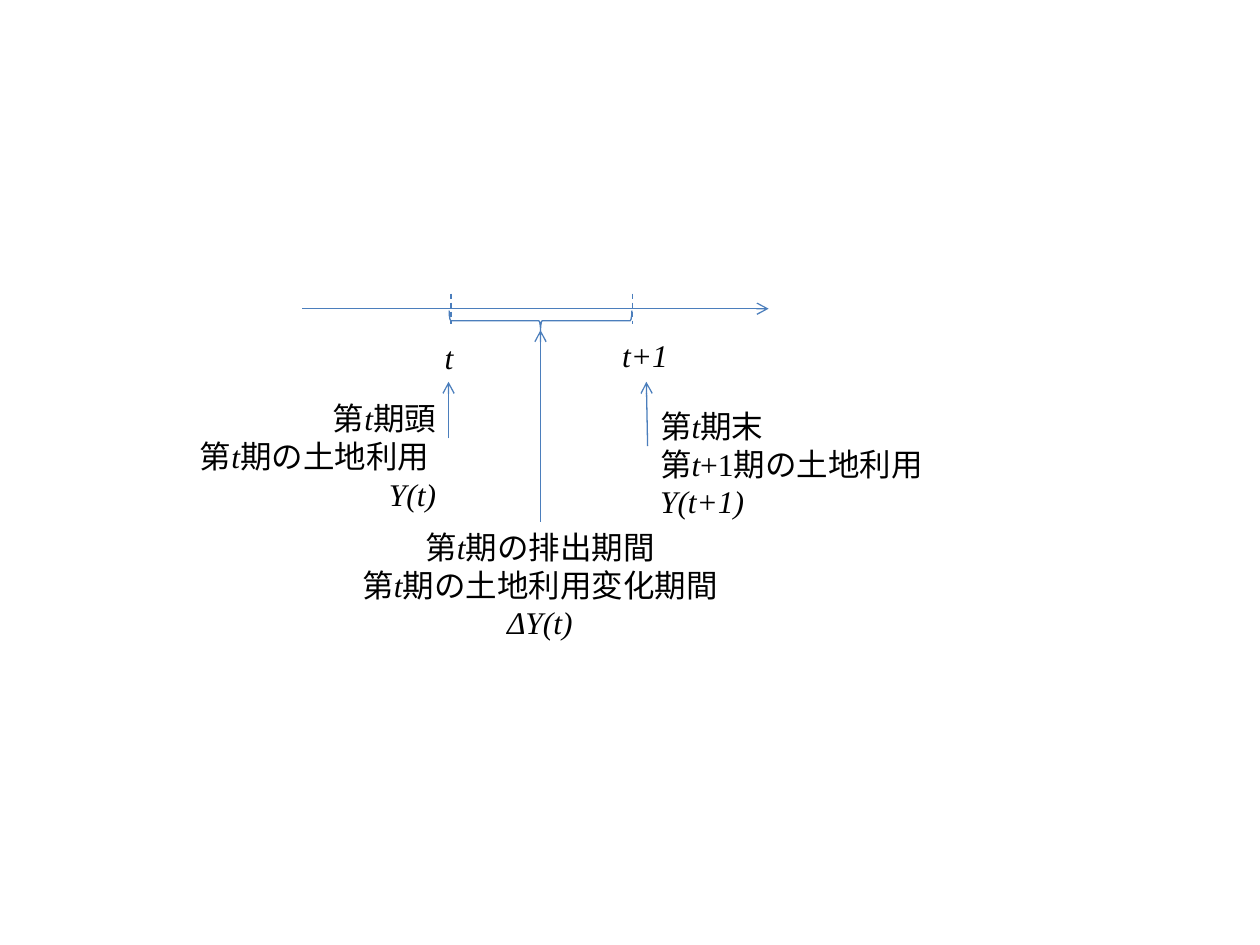
from lxml.etree import SubElement
from pptx import Presentation
from pptx.dml.color import RGBColor
from pptx.enum.dml import MSO_LINE_DASH_STYLE as DASH
from pptx.enum.shapes import MSO_CONNECTOR, MSO_SHAPE
from pptx.enum.text import PP_ALIGN as ALIGN
from pptx.oxml.ns import qn
from pptx.util import Inches, Pt

BLUE = RGBColor(0x4B, 0x7E, 0xBC)
BLACK = RGBColor(0, 0, 0)
BREAK = "\n"


class Timeline:
    """Draws the parts of a period diagram in one style on one slide."""

    font = "Times New Roman"
    size = Pt(18)
    weight = Pt(0.75)

    def __init__(self, slide):
        self.shapes = slide.shapes

    def line(self, start, end, arrow=False, dash=None):
        connector = self.shapes.add_connector(
            MSO_CONNECTOR.STRAIGHT, *map(Inches, start + end))
        connector.line.color.rgb = BLUE
        connector.line.width = self.weight
        if dash:
            connector.line.dash_style = dash
        if arrow:
            SubElement(connector.line._get_or_add_ln(), qn("a:tailEnd"), type="arrow")
        SubElement(connector._element.spPr, qn("a:effectLst"))

    def brace(self, left, top, width, height):
        brace = self.shapes.add_shape(
            MSO_SHAPE.LEFT_BRACE, *map(Inches, (left, top, width, height)))
        brace.rotation = 270
        brace.shadow.inherit = False
        brace.fill.background()
        brace.line.color.rgb = BLUE
        brace.line.width = self.weight

    def text(self, box, paragraphs, align=ALIGN.LEFT, wrap=True):
        frame = self.shapes.add_textbox(*map(Inches, box)).text_frame
        frame.word_wrap = wrap
        for index, runs in enumerate(paragraphs):
            paragraph = frame.add_paragraph() if index else frame.paragraphs[0]
            paragraph.alignment = align
            for words, italic in runs:
                if words == BREAK:
                    paragraph.add_line_break()
                    continue
                run = paragraph.add_run()
                run.text = words
                run.font.name = self.font
                run.font.size = self.size
                run.font.italic = italic
                run.font.color.rgb = BLACK


def period(rest, formula=None):
    runs = [("第", False), ("t", True), (rest, False)]
    return runs + [(BREAK, False), (formula, True)] if formula else runs


deck = Presentation()
deck.slide_width, deck.slide_height = Inches(10), Inches(7.5)
timeline = Timeline(deck.slides.add_slide(deck.slide_layouts[6]))

timeline.line((2.4, 2.45), (6.1, 2.45), arrow=True)
for moment in (3.58, 5.02):
    timeline.line((moment, 2.33), (moment, 2.57), dash=DASH.DASH)

for name, box in (("t", (3.43, 2.63, 0.27, 0.4)), ("t+1", (4.84, 2.62, 0.57, 0.4))):
    timeline.text(box, [[(name, True)]], wrap=False)

timeline.text((1.03, 3.12, 2.53, 0.71),
              [period("期頭"), period("期の土地利用 ", "Y(t)")], ALIGN.RIGHT)
timeline.text((5.14, 3.18, 3.1, 0.71),
              [period("期末"), period("+1期の土地利用", "Y(t+1)")])

timeline.brace(4.21, 1.82, 0.16, 1.45)
timeline.text((2.45, 4.14, 3.67, 0.71),
              [period("期の排出期間"), period("期の土地利用変化期間", "ΔY(t)")], ALIGN.CENTER)

for start, end in (((3.56, 3.48), (3.56, 3.03)),
                   ((5.14, 3.54), (5.13, 3.03)),
                   ((4.29, 4.14), (4.29, 2.62))):
    timeline.line(start, end, arrow=True)

deck.save("out.pptx")
